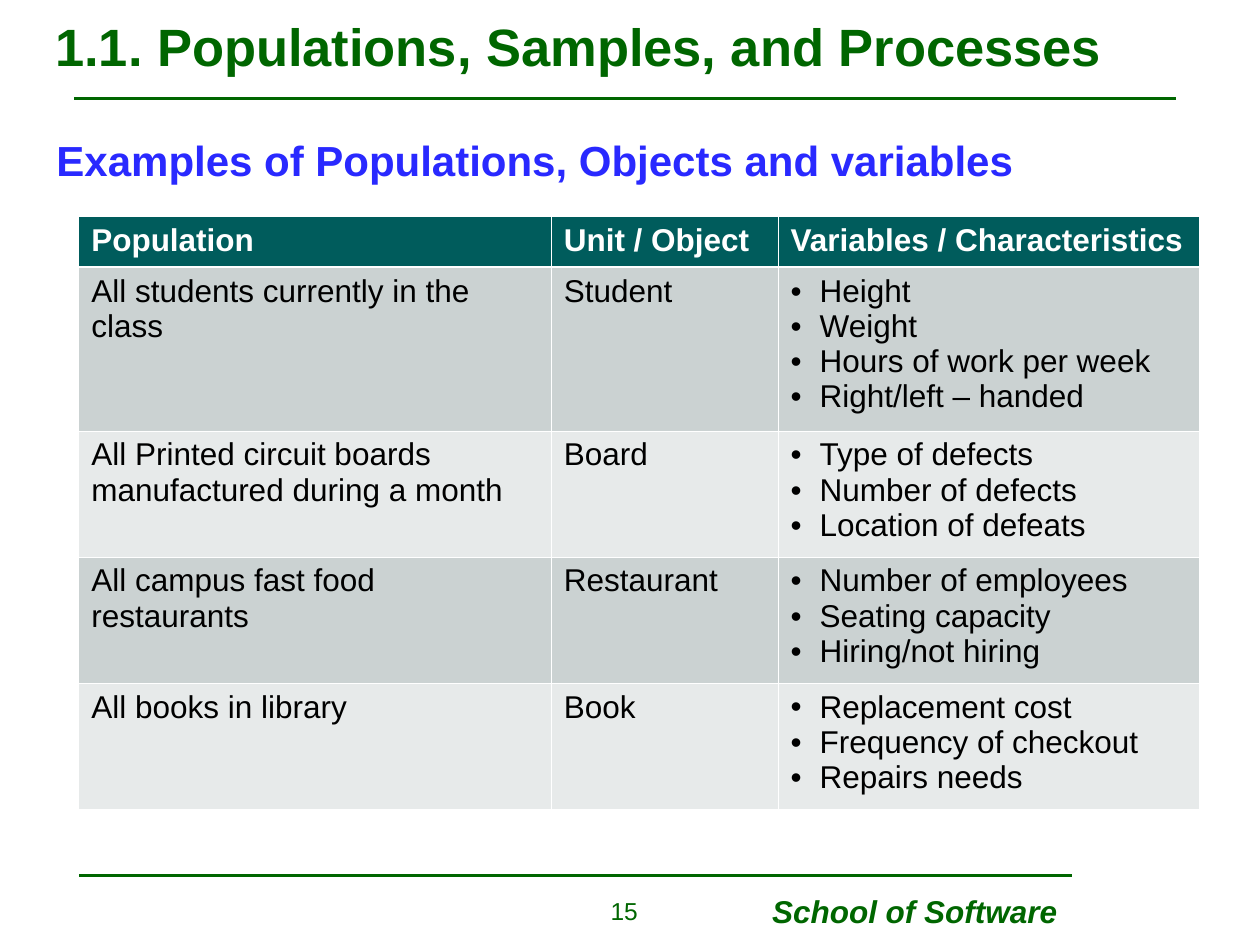
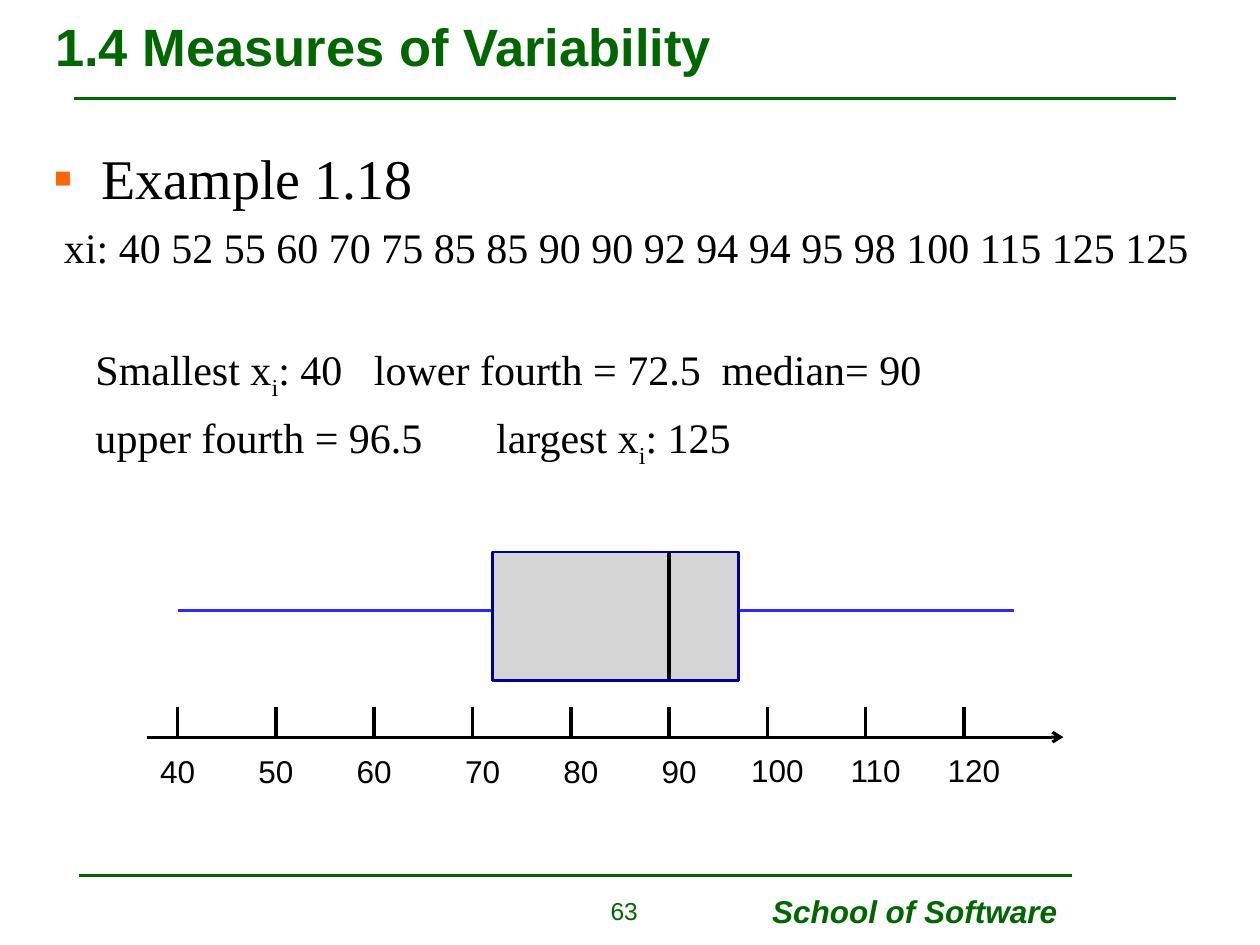
from lxml import etree
from pptx import Presentation, util as u
from pptx.dml.color import RGBColor
from pptx.enum import shapes, text
from pptx.oxml.ns import qn

C = {"green": "006600", "blue": "2929FF", "navy": "000099", "orange": "FF6600",
     "black": "000000", "white": "FFFFFF", "grey": "D5D5D5",
     "head": "005C5C", "odd": "CBD2D2", "even": "E7EAEA"}
SANS, SERIF = "Arial", "Times New Roman"

prs = Presentation()
prs.slide_width, prs.slide_height = u.Inches(10), u.Inches(7.5)
# All lengths are on a grid of 100 columns by 75 rows
G = prs.slide_width // 100


def write(tf, paras, size, color="black", font=SANS, bold=False, italic=False,
          align="LEFT", gap=0, bullet=None, tabs=()):
    """Each paragraph is a tuple of runs; every second run is a subscript."""
    tf.word_wrap = True
    for i, runs in enumerate(paras):
        p = tf.add_paragraph() if i else tf.paragraphs[0]
        pPr = p._p.get_or_add_pPr()
        if bullet:
            char, tint, indent = bullet
            pPr.set("marL", str(int(indent * G)))
            pPr.set("indent", str(-int(indent * G)))
            clr = etree.SubElement(pPr, qn("a:buClr"))
            etree.SubElement(clr, qn("a:srgbClr"), val=C[tint])
            etree.SubElement(pPr, qn("a:buFont"), typeface=SANS)
            etree.SubElement(pPr, qn("a:buChar"), char=char)
        if tabs:
            stops = etree.SubElement(pPr, qn("a:tabLst"))
            for stop in tabs[i]:
                etree.SubElement(stops, qn("a:tab"), pos=str(int(stop * G)), algn="l")
        p.alignment = getattr(text.PP_ALIGN, align)
        if i:
            p.space_before = u.Pt(gap)
        for j, words in enumerate(runs):
            r = p.add_run()
            r.text = words
            r.font.name, r.font.size = font, u.Pt(size)
            r.font.bold, r.font.italic = bold, italic
            r.font.color.rgb = RGBColor.from_string(C[color])
            if j % 2:
                r._r.get_or_add_rPr().set("baseline", "-25000")


def line(s, x1, y1, x2, y2, color, width, arrow=False):
    sp = s.shapes.add_connector(shapes.MSO_CONNECTOR.STRAIGHT,
                                *[int(v * G) for v in (x1, y1, x2, y2)])
    sp.line.color.rgb = RGBColor.from_string(C[color])
    sp.line.width = u.Pt(width)
    if arrow:
        etree.SubElement(sp.line._get_or_add_ln(), qn("a:tailEnd"), type="arrow")
    etree.SubElement(sp._element.spPr, qn("a:effectLst"))


# Shared parts: rules, title, page number, footer
slides = []
for title, page in (("1.1. Populations, Samples, and Processes", "15"),
                    ("1.4 Measures of Variability", "63")):
    s = prs.slides.add_slide(prs.slide_layouts[6])
    slides.append(s)
    line(s, 5.9, 7.8, 93.3, 7.8, "green", 1.5)
    line(s, 6.3, 69.5, 85.1, 69.5, "green", 1.5)
    for at, words, style in (
            ((3.4, 0.2, 93.4, 6.8), title, dict(size=30, bold=True)),
            ((41.4, 70.6, 10.2, 3.6), page, dict(size=14, align="RIGHT")),
            ((60.3, 70.3, 30, 4), "School of Software",
             dict(size=18, bold=True, italic=True))):
        tf = s.shapes.add_textbox(*[int(v * G) for v in at]).text_frame
        tf.vertical_anchor = text.MSO_ANCHOR.MIDDLE if words == title else text.MSO_ANCHOR.TOP
        write(tf, [(words,)], color="green", **style)
populations, variability = slides

# Slide 1: subtitle and table of populations
s = populations
tf = s.shapes.add_textbox(*[int(v * G) for v in (3.5, 10.2, 88, 5)]).text_frame
write(tf, [("Examples of Populations, Objects and variables",)], 24, "blue", bold=True)

rows = [
    ("Population", "Unit / Object", ["Variables / Characteristics"]),
    ("All students currently in the class", "Student",
     ["Height", "Weight", "Hours of work per week", "Right/left – handed"]),
    ("All Printed circuit boards manufactured during a month", "Board",
     ["Type of defects", "Number of defects", "Location of defeats"]),
    ("All campus fast food restaurants", "Restaurant",
     ["Number of employees", "Seating capacity", "Hiring/not hiring"]),
    ("All books in library", "Book",
     ["Replacement cost", "Frequency of checkout", "Repairs needs"]),
]
widths, heights = (37.5, 18, 33.4), (4, 13, 10, 10, 10)
tbl = s.shapes.add_table(len(rows), len(widths), *[
    int(v * G) for v in (6.25, 17.2, sum(widths), sum(heights))]).table
for col, w in zip(tbl.columns, widths):
    col.width = int(w * G)
for i, (population, unit, variables) in enumerate(rows):
    tbl.rows[i].height = heights[i] * G
    for j, lines in enumerate(([population], [unit], variables)):
        cell = tbl.cell(i, j)
        cell.fill.solid()
        shade = "head" if i == 0 else "odd" if i % 2 else "even"
        cell.fill.fore_color.rgb = RGBColor.from_string(C[shade])
        write(cell.text_frame, [(words,) for words in lines], 18,
              "black" if i else "white", bold=i == 0,
              bullet=("•", "black", 2.3) if i and j == 2 else None)
        # White borders, thicker under the header row
        tcPr = cell._tc.get_or_add_tcPr()
        for k, side in enumerate("LRTB"):
            thick = (i, side) in ((0, "B"), (1, "T"))
            ln = etree.Element(qn("a:ln" + side), w=str(u.Pt(1.47 if thick else 0.45)))
            fill = etree.SubElement(ln, qn("a:solidFill"))
            etree.SubElement(fill, qn("a:srgbClr"), val=C["white"])
            tcPr.insert(k, ln)

# Slide 2: example data and its five-number summary
s = variability
for at, paras, style in (
        ((3.3, 10.9, 93.4, 6), [("Example 1.18",)],
         dict(size=32, bullet=("▪", "orange", 3.8))),
        ((4.1, 17.1, 93.4, 5),
         [("xi: 40 52 55 60 70 75 85 85 90 90 92 94 94 95 98 100 115 125 125",)],
         dict(size=24)),
        ((6.6, 26.8, 90, 11),
         [("Smallest x", "i", ": 40\tlower fourth = 72.5\tmedian= 90"),
          ("upper fourth = 96.5\tlargest x", "i", ": 125")],
         dict(size=24, gap=6, tabs=((22.1, 49.7), (31.8,))))):
    tf = s.shapes.add_textbox(*[int(v * G) for v in at]).text_frame
    write(tf, paras, font=SERIF, **style)

# Number axis: one tick every ten units
FIRST, STEP, AXIS = 14.1, 7.8, 58.5
line(s, 11.7, AXIS, 84.4, AXIS, "black", 1.75, arrow=True)
for i, value in enumerate(range(40, 130, 10)):
    x = FIRST + i * STEP
    line(s, x, AXIS - 2.4, x, AXIS, "black", 2)
    shift = 0.8 if value >= 70 else 0
    top = 59.1 if value >= 100 else 59.2
    tf = s.shapes.add_textbox(*[int(v * G) for v in (x + shift - 4, top, 8, 4)]).text_frame
    write(tf, [(str(value),)], 18, align="CENTER")

# Box plot: whiskers, box, median
line(s, FIRST, 48.45, 80.5, 48.45, "blue", 2)
sp = s.shapes.add_shape(shapes.MSO_SHAPE.RECTANGLE,
                        *[int(v * G) for v in (39.1, 43.8, 19.5, 10.2)])
sp.shadow.inherit = False
sp.fill.solid()
sp.fill.fore_color.rgb = RGBColor.from_string(C["grey"])
sp.line.color.rgb = RGBColor.from_string(C["navy"])
sp.line.width = u.Pt(1.5)
median = FIRST + 5 * STEP
line(s, median, 43.8, median, 53.9, "black", 2)

prs.save("out.pptx")
